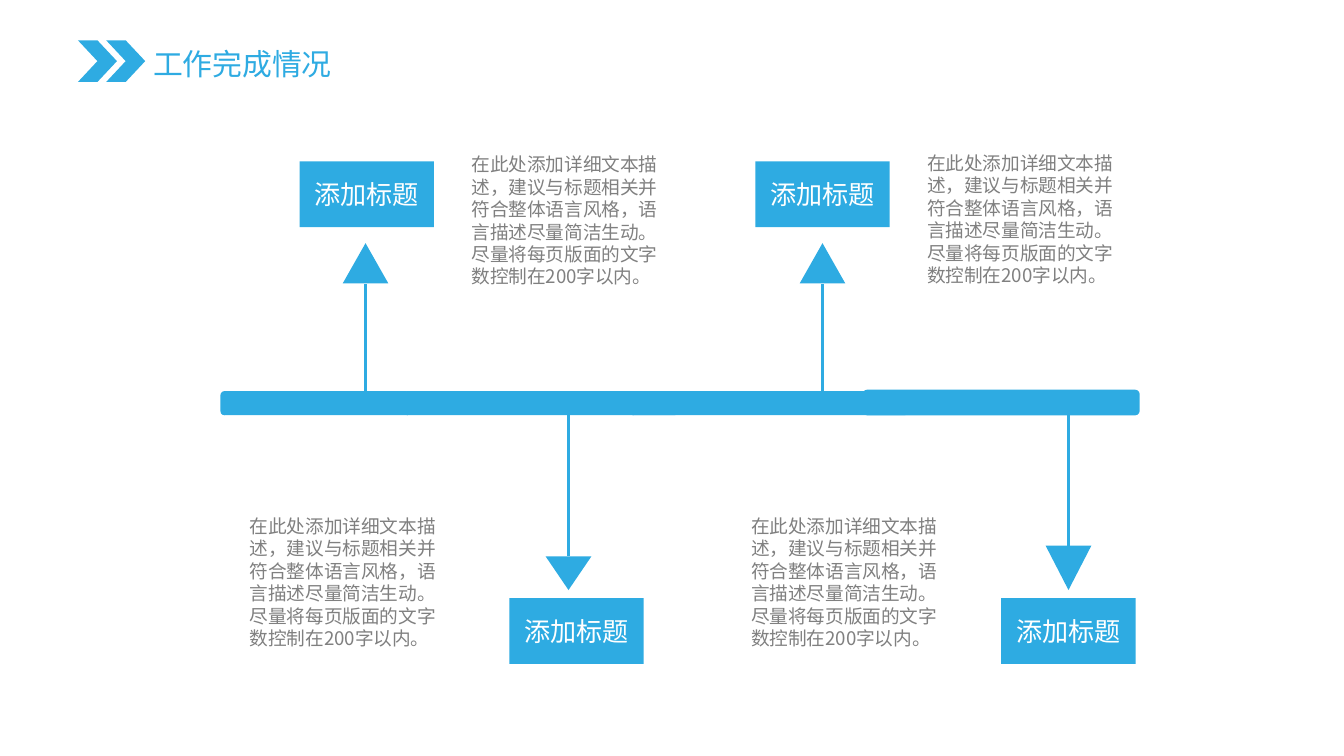
"""Build a timeline slide with four alternating milestones."""
from lxml.etree import SubElement
from pptx import Presentation
from pptx.dml.color import RGBColor
from pptx.enum.shapes import MSO_CONNECTOR, MSO_SHAPE
from pptx.enum.text import MSO_ANCHOR, MSO_AUTO_SIZE, PP_ALIGN
from pptx.oxml.ns import qn
from pptx.util import Inches, Pt

FONT = "Noto Sans CJK SC"
BLUE, GRAY, WHITE = "2EABE2", "808080", "FFFFFF"
LABEL = "添加标题"
DETAIL = ("在此处添加详细文本描述，建议与标题相关并符合整体语言风格，"
          "语言描述尽量简洁生动。尽量将每页版面的文字数控制在200字以内。")
AXIS_TOP, AXIS_BOTTOM = 2.91, 3.09
HEAD_W = 0.34


def rgb(color):
    """Turn a hex string into a colour."""
    return RGBColor.from_string(color)


def write(tf, text, size, color, align=PP_ALIGN.LEFT):
    """Fill a text frame with one styled paragraph."""
    p = tf.paragraphs[0]
    p.text = text
    p.alignment = align
    p.font.size = Pt(size)
    p.font.color.rgb = rgb(color)
    p.font.name = FONT
    SubElement(p._p.pPr.find(qn("a:defRPr")), qn("a:ea"), typeface=FONT)


def add_shape(s, kind, x, y, w, h):
    """Add a plain blue preset shape."""
    sp = s.shapes.add_shape(kind, Inches(x), Inches(y), Inches(w), Inches(h))
    sp.shadow.inherit = False
    sp.fill.solid()
    sp.fill.fore_color.rgb = rgb(BLUE)
    sp.line.fill.background()
    return sp


def add_text(s, x, y, w, h, text, size, color, wrap=True):
    """Add a text box that grows with its text."""
    box = s.shapes.add_textbox(Inches(x), Inches(y), Inches(w), Inches(h))
    tf = box.text_frame
    tf.word_wrap = wrap
    tf.auto_size = MSO_AUTO_SIZE.SHAPE_TO_FIT_TEXT
    write(tf, text, size, color)
    return tf


def add_stem(s, x, y1, y2):
    """Add a vertical line from the axis to an arrowhead."""
    line = s.shapes.add_connector(MSO_CONNECTOR.STRAIGHT, Inches(x), Inches(y1),
                                  Inches(x), Inches(y2))
    line.line.color.rgb = rgb(BLUE)
    line.line.width = Pt(2)
    SubElement(line._element.spPr, qn("a:effectLst"))


def add_label(s, x, y):
    """Add a milestone label."""
    sp = add_shape(s, MSO_SHAPE.RECTANGLE, x, y, 1, 0.49)
    sp.text_frame.vertical_anchor = MSO_ANCHOR.MIDDLE
    write(sp.text_frame, LABEL, 14, WHITE, PP_ALIGN.CENTER)


def add_milestone(s, x, label_x, detail_x, detail_y, head_y, head_h, up):
    """Add an arrow, its label and its detail text."""
    head = add_shape(s, MSO_SHAPE.ISOSCELES_TRIANGLE, x - HEAD_W / 2, head_y,
                     HEAD_W, head_h)
    if up:
        add_stem(s, x, AXIS_TOP, head_y + head_h)
    else:
        head.rotation = 180
        add_stem(s, x, AXIS_BOTTOM, head_y)
    add_label(s, label_x, 1.2 if up else 4.45)
    add_text(s, detail_x, detail_y, 1.65, 1.11, DETAIL, 10, GRAY)


def add_title(s, text):
    """Add the heading with its two chevrons."""
    tf = add_text(s, 1.06, 0.3, 1.5, 0.35, text, 16, BLUE, wrap=False)
    tf.margin_left = tf.margin_right = Inches(0.08)
    tf.margin_top = tf.margin_bottom = Inches(0.04)
    for x in (0.58, 0.79):
        add_shape(s, MSO_SHAPE.CHEVRON, x, 0.3, 0.29, 0.31)


def main():
    """Build and save the slide."""
    prs = Presentation()
    prs.slide_width = Inches(10)
    prs.slide_height = Inches(10 * 9 / 16)
    s = prs.slides.add_slide(prs.slide_layouts[6])
    add_title(s, "工作完成情况")
    for x, y, w in ((1.64, AXIS_TOP, 1.41), (3, AXIS_TOP, 2.05),
                    (4.68, AXIS_TOP, 2.08), (6.42, 2.9, 2.06)):
        add_shape(s, MSO_SHAPE.ROUNDED_RECTANGLE, x, y, w, AXIS_BOTTOM - y)
    for milestone in ((2.72, 2.23, 3.41, 1.09, 1.81, 0.3, True),
                      (4.23, 3.79, 1.76, 3.78, 4.14, 0.25, False),
                      (6.12, 5.62, 6.8, 1.08, 1.81, 0.3, True),
                      (7.95, 7.45, 5.49, 3.78, 4.06, 0.33, False)):
        add_milestone(s, *milestone)
    prs.save("out.pptx")


if __name__ == "__main__":
    main()
